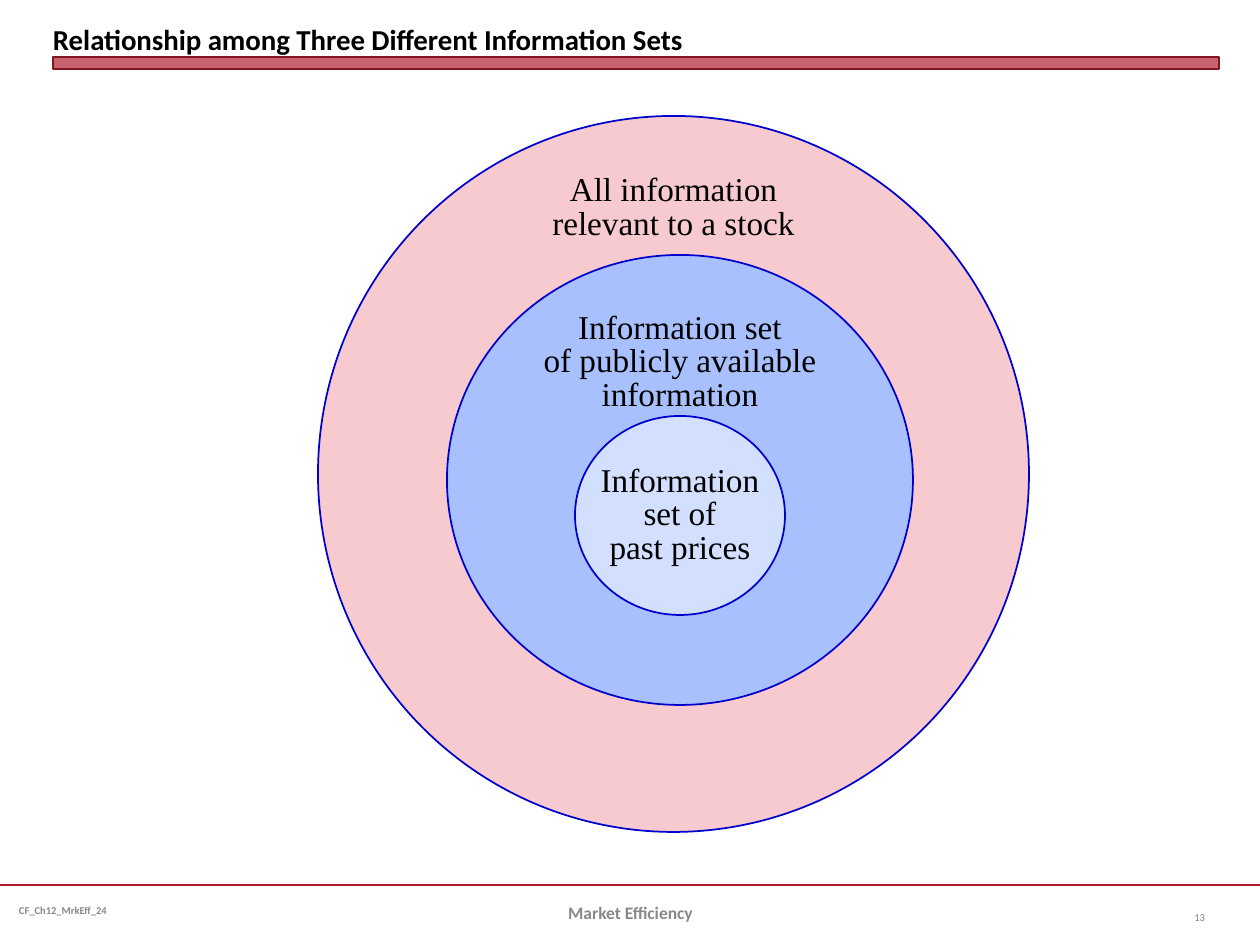
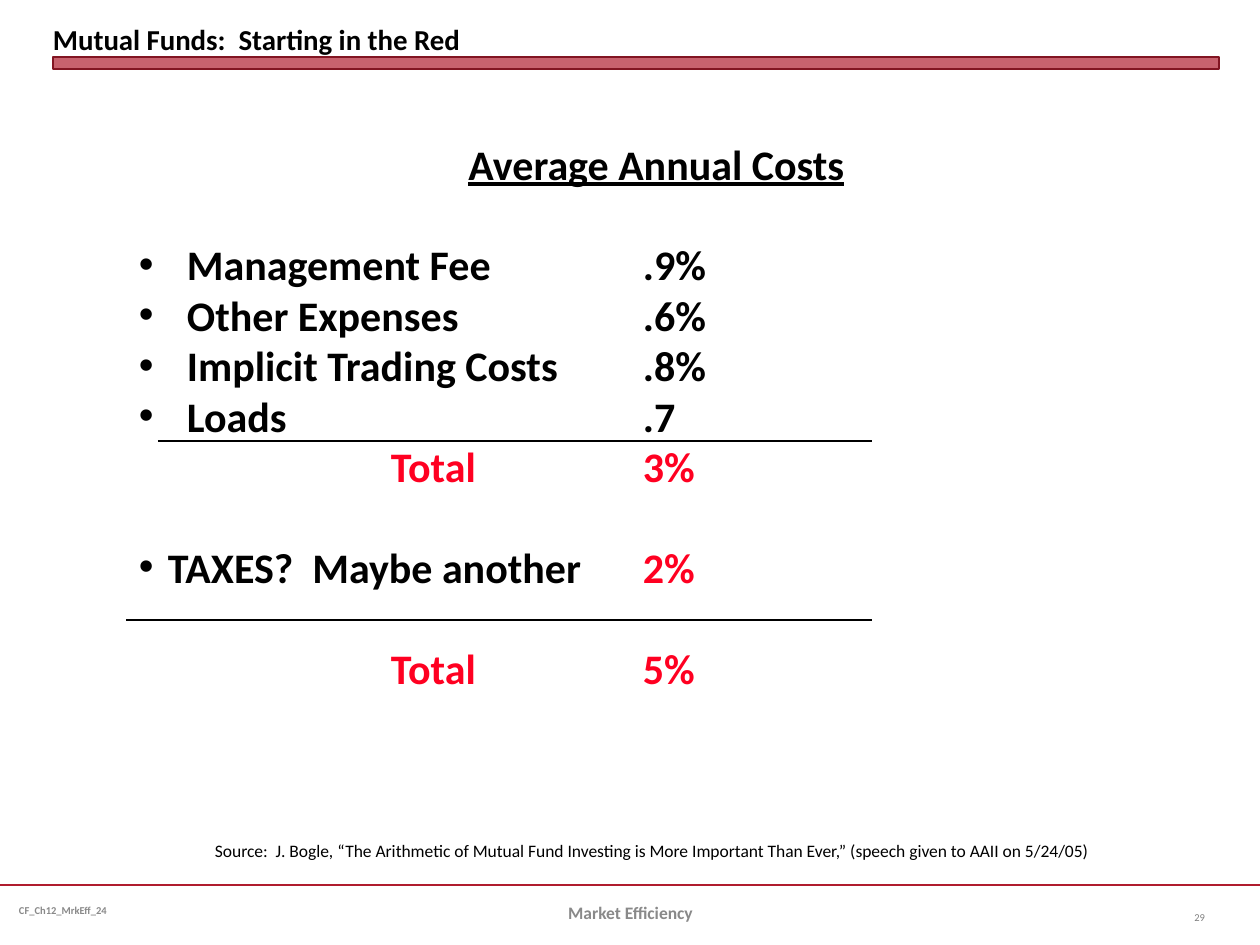
from lxml import etree
from pptx import Presentation
from pptx.dml.color import RGBColor
from pptx.enum.shapes import MSO_CONNECTOR, MSO_SHAPE
from pptx.enum.text import MSO_ANCHOR, PP_ALIGN
from pptx.oxml.ns import qn
from pptx.util import Pt

EMU_PER_PX = 914400 / 126
SLIDE_WIDTH, SLIDE_HEIGHT = 1260, 945

CRIMSON = RGBColor(0xB0, 0x1C, 0x2E)
DARK_CRIMSON = RGBColor(0x82, 0x15, 0x22)
RED = RGBColor(0xFF, 0x00, 0x21)
BLACK = RGBColor(0x00, 0x00, 0x00)
GRAY = RGBColor(0x89, 0x89, 0x89)
NUMBER_GRAY = RGBColor(0x80, 0x80, 0x80)
OUTLINE_BLUE = RGBColor(0x00, 0x00, 0xCC)
PINK = RGBColor(0xF7, 0xCA, 0xD0)
BLUE = RGBColor(0xA8, 0xC1, 0xFE)
PALE_BLUE = RGBColor(0xD2, 0xDF, 0xFE)

SANS, SERIF = "Calibri", "Times New Roman"

# Cost list: tab columns and line pitch
TOTAL_TAB, VALUE_TAB = 252, 504
LINE_PITCH = Pt(28.8)


def px(length):
    return round(length * EMU_PER_PX)


def place(box):
    return [px(length) for length in box]


def format_runs(paragraph, size, color, bold=False, font=SANS):
    for run in paragraph.runs:
        run.font.size = Pt(size)
        run.font.name = font
        run.font.bold = bold
        run.font.color.rgb = color


def add_text_frame(slide, box, insets=(13, 6), anchor=MSO_ANCHOR.TOP, wrap=True):
    text_frame = slide.shapes.add_textbox(*place(box)).text_frame
    text_frame.word_wrap = wrap
    text_frame.vertical_anchor = anchor
    text_frame.margin_left = text_frame.margin_right = px(insets[0])
    text_frame.margin_top = text_frame.margin_bottom = px(insets[1])
    return text_frame


def add_label(slide, box, text, size, color, bold=False, font=SANS,
              align=PP_ALIGN.LEFT, **frame_options):
    text_frame = add_text_frame(slide, box, **frame_options)
    text_frame.text = text
    paragraph = text_frame.paragraphs[0]
    paragraph.alignment = align
    format_runs(paragraph, size, color, bold, font)
    return paragraph


def add_rule(slide, left, right, y, color, width):
    rule = slide.shapes.add_connector(
        MSO_CONNECTOR.STRAIGHT, px(left), px(y), px(right), px(y))
    rule.line.color.rgb = color
    rule.line.width = Pt(width)
    etree.SubElement(rule._element.spPr, qn("a:effectLst"))


def add_filled_shape(slide, kind, box, fill, outline, width):
    shape = slide.shapes.add_shape(kind, *place(box))
    shape.shadow.inherit = False
    shape.fill.solid()
    shape.fill.fore_color.rgb = fill
    shape.line.color.rgb = outline
    shape.line.width = Pt(width)
    return shape


def add_header(slide, box, title):
    left, top, width, height = box
    band = add_filled_shape(slide, MSO_SHAPE.RECTANGLE,
                            (left, top + height + 1, width, 12),
                            CRIMSON, DARK_CRIMSON, 0)
    color = band._element.spPr.find(qn("a:solidFill"))[0]
    etree.SubElement(color, qn("a:alpha"), val="69000")
    add_label(slide, box, title, 16.5, BLACK, bold=True,
              insets=(0, 0), anchor=MSO_ANCHOR.BOTTOM)


def add_footer(slide, top, number):
    middle = MSO_ANCHOR.MIDDLE
    add_rule(slide, 0, SLIDE_WIDTH, top, CRIMSON, 1.25)
    add_label(slide, (10, top, 325, 50), "CF_Ch12_MrkEff_24", 6, GRAY,
              bold=True, insets=(9, 5), anchor=middle)
    add_label(slide, (1155, top + 7, 63, 50), str(number), 6, NUMBER_GRAY,
              align=PP_ALIGN.RIGHT, anchor=middle)
    add_label(slide, (431, top + 3, 399, 50), "Market Efficiency", 10, GRAY,
              bold=True, align=PP_ALIGN.CENTER, anchor=middle)


def add_base_slide(presentation, title, number):
    slide = presentation.slides.add_slide(presentation.slide_layouts[6])
    add_header(slide, (53, 6, 1166, 50), title)
    add_footer(slide, 885, number)
    return slide


def add_information_set(slide, box, fill, text, text_offset):
    left, top, width, _ = box
    add_filled_shape(slide, MSO_SHAPE.OVAL, box, fill, OUTLINE_BLUE, 1)
    text_height = 13 + 34 * len(text.split("\v"))
    paragraph = add_label(slide, (left, top + text_offset, width, text_height),
                          text, 19, BLACK, font=SERIF,
                          align=PP_ALIGN.CENTER, wrap=False)
    paragraph.line_spacing = 0.85


def set_indent_and_tabs(paragraph, hanging, stops):
    properties = paragraph._p.get_or_add_pPr()
    if hanging:
        properties.set("marL", str(px(hanging)))
        properties.set("indent", str(-px(hanging)))
        etree.SubElement(properties, qn("a:buFont"), typeface="Arial")
        etree.SubElement(properties, qn("a:buChar"), char="•")
    if stops:
        tabs = etree.SubElement(properties, qn("a:tabLst"))
        for stop in stops:
            etree.SubElement(tabs, qn("a:tab"), pos=str(px(stop)), algn="l")


def add_cost_list(slide, box):
    text_frame = add_text_frame(slide, box)
    heading = text_frame.paragraphs[0]
    heading.text = "Average Annual Costs"
    heading.alignment = PP_ALIGN.CENTER
    heading.line_spacing = LINE_PITCH
    format_runs(heading, 24, BLACK, bold=True)
    heading.runs[0].font.underline = True

    # Label, value, hanging indent (0 for a total), value colour, gap above
    rows = [
        ("Management Fee", ".9%", 48, BLACK, True),
        ("Other Expenses", ".6%", 48, BLACK, False),
        ("Implicit Trading Costs", ".8%", 48, BLACK, False),
        ("Loads", ".7", 48, BLACK, False),
        ("Total", "3%", 0, RED, False),
        ("TAXES?  Maybe another", "2%", 29, RED, True),
        ("Total", "5%", 0, RED, True),
    ]
    for label, value, hanging, value_color, gap in rows:
        paragraph = text_frame.add_paragraph()
        stops = [VALUE_TAB] if hanging else [TOTAL_TAB, VALUE_TAB]
        set_indent_and_tabs(paragraph, hanging, stops)
        paragraph.line_spacing = LINE_PITCH
        paragraph.space_before = LINE_PITCH if gap else Pt(0)
        paragraph.add_run().text = f"{label}\t" if hanging else f"\t{label}\t"
        paragraph.add_run().text = value
        format_runs(paragraph, 24, BLACK if hanging else RED, bold=True)
        paragraph.runs[1].font.color.rgb = value_color

    # Sum lines
    left, top = box[:2]
    add_rule(slide, left + 32, left + 746, top + 309, BLACK, 0.75)
    add_rule(slide, left, left + 746, top + 488, BLACK, 0.75)


def build_information_sets(presentation):
    slide = add_base_slide(
        presentation, "Relationship among Three Different Information Sets", 13)
    add_information_set(slide, (318, 116, 711, 716), PINK,
                        "All information\vrelevant to a stock", 52)
    add_information_set(slide, (447, 255, 466, 450), BLUE,
                        "Information set\vof publicly available\vinformation", 51)
    add_information_set(slide, (575, 416, 210, 199), PALE_BLUE,
                        "Information\vset of\vpast prices", 43)


def build_fund_costs(presentation):
    slide = add_base_slide(presentation, "Mutual Funds:  Starting in the Red", 29)
    add_cost_list(slide, (126, 132, 1061, 572))
    add_label(slide, (202, 834, 969, 34),
              "Source:  J. Bogle, “The Arithmetic of Mutual Fund Investing is "
              "More Important Than Ever,” (speech given to AAII on 5/24/05)",
              10, BLACK)


def main():
    presentation = Presentation()
    presentation.slide_width = px(SLIDE_WIDTH)
    presentation.slide_height = px(SLIDE_HEIGHT)
    build_information_sets(presentation)
    build_fund_costs(presentation)
    presentation.save("out.pptx")


if __name__ == "__main__":
    main()
